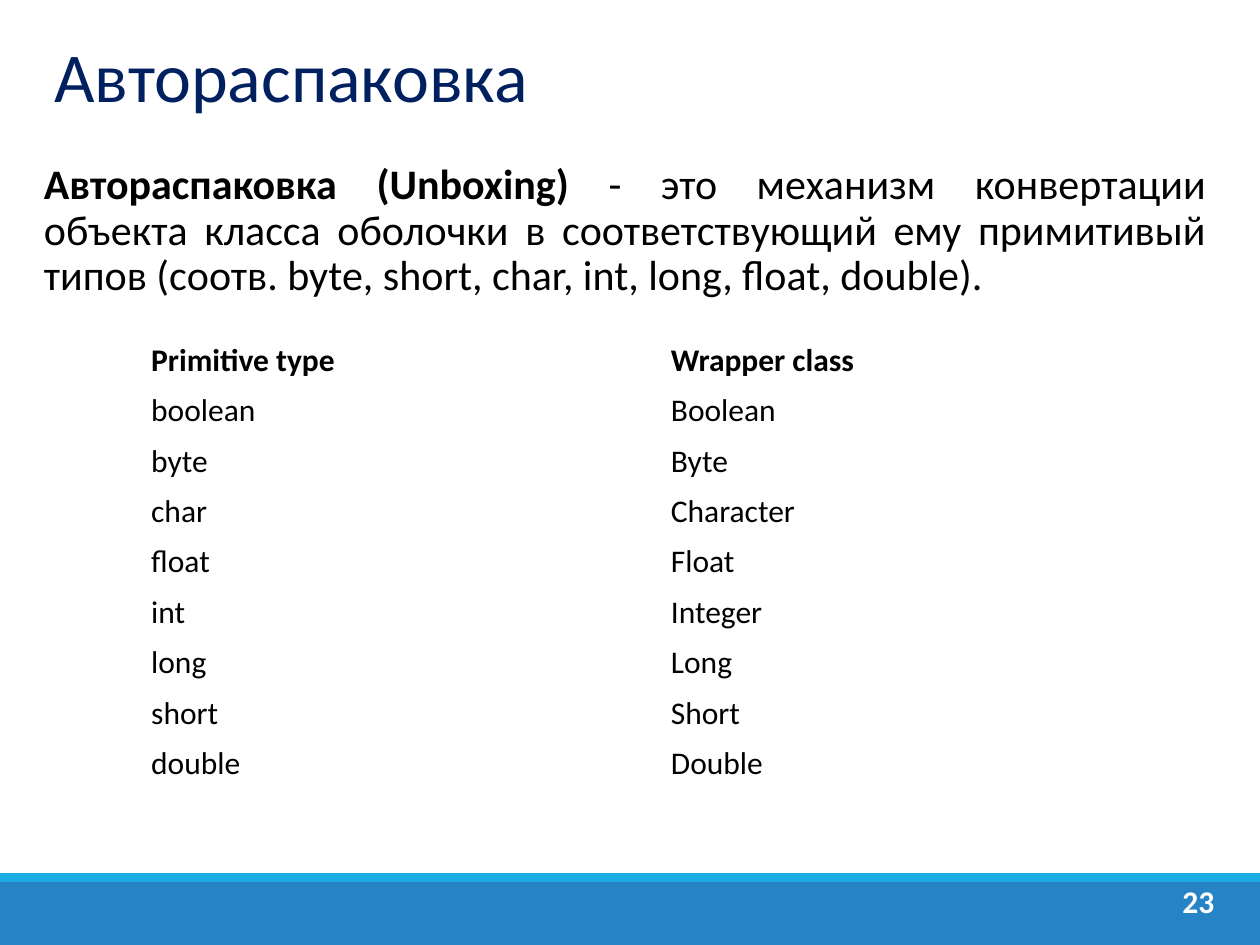
from pptx import Presentation
from pptx import util as u
from pptx.dml.color import RGBColor
from pptx.enum import shapes, text

TITLE = "Автораспаковка"
DEFINITION = [
    ("Автораспаковка (Unboxing) ", True),
    ("- это механизм конвертации объекта класса оболочки в соответствующий ему "
     "примитивый типов (соотв. byte, short, char, int, long, float, double).", False),
]
TYPES = [
    ("Primitive type", "Wrapper class"),
    ("boolean", "Boolean"),
    ("byte", "Byte"),
    ("char", "Character"),
    ("float", "Float"),
    ("int", "Integer"),
    ("long", "Long"),
    ("short", "Short"),
    ("double", "Double"),
]
PAGE_NUMBER = "23"

FONT = "Calibri"
NAVY = RGBColor(0x00, 0x20, 0x60)
BLACK = RGBColor(0, 0, 0)
WHITE = RGBColor(255, 255, 255)
BLUE = RGBColor(0x26, 0x83, 0xC6)
CYAN = RGBColor(0x1C, 0xAD, 0xE4)

WIDTH, HEIGHT = 10, 7.5
FOOTER_HEIGHT, STRIPE_HEIGHT = 0.5, 0.07
FOOTER_TOP = HEIGHT - FOOTER_HEIGHT
ROW_HEIGHT = 0.4


def inches(*lengths):
    return [u.Inches(length) for length in lengths]


def write(frame, spans, size, color, align=text.PP_ALIGN.LEFT, spacing=1.0):
    para = frame.paragraphs[0]
    para.alignment = align
    para.line_spacing = spacing
    for words, bold in spans:
        span = para.add_run()
        span.text = words
        span.font.name = FONT
        span.font.size = u.Pt(size)
        span.font.bold = bold
        span.font.color.rgb = color


def add_band(page, top, height, color):
    band = page.shapes.add_shape(
        shapes.MSO_SHAPE.RECTANGLE, *inches(0, top, WIDTH, height))
    band.shadow.inherit = False
    band.fill.solid()
    band.fill.fore_color.rgb = color
    band.line.fill.background()


def add_text(page, area, *style):
    box = page.shapes.add_textbox(*inches(*area))
    box.text_frame.word_wrap = True
    write(box.text_frame, *style)


def add_title(page):
    title = page.shapes.title
    title.left, title.top, title.width, title.height = inches(0.33, 0.28, 9.02, 0.63)
    title.text_frame.auto_size = text.MSO_AUTO_SIZE.NONE
    title.text_frame.vertical_anchor = text.MSO_ANCHOR.MIDDLE
    write(title.text_frame, [(TITLE, False)], 40, NAVY)


def add_types(page):
    table = page.shapes.add_table(
        len(TYPES), len(TYPES[0]),
        *inches(1.1, 2.67, 8.25, ROW_HEIGHT * len(TYPES))).table
    table.horz_banding = False
    for row, names in enumerate(TYPES):
        for column, name in enumerate(names):
            cell = table.cell(row, column)
            cell.fill.background()
            cell.vertical_anchor = text.MSO_ANCHOR.MIDDLE
            write(cell.text_frame, [(name, row == 0)], 18, BLACK,
                  text.PP_ALIGN.LEFT, 0.83)


def main():
    deck = Presentation()
    deck.slide_width, deck.slide_height = inches(WIDTH, HEIGHT)
    page = deck.slides.add_slide(deck.slide_layouts.get_by_name("Title Only"))
    add_band(page, FOOTER_TOP, FOOTER_HEIGHT, BLUE)
    add_band(page, FOOTER_TOP - STRIPE_HEIGHT, STRIPE_HEIGHT, CYAN)
    add_title(page)
    add_text(page, (9.27, 6.95, 0.48, 0.4), [(PAGE_NUMBER, True)], 18, WHITE,
             text.PP_ALIGN.CENTER)
    add_text(page, (0.25, 1.25, 9.42, 5.6), DEFINITION, 24, BLACK,
             text.PP_ALIGN.JUSTIFY, 0.9)
    add_types(page)
    deck.save("out.pptx")


if __name__ == "__main__":
    main()
